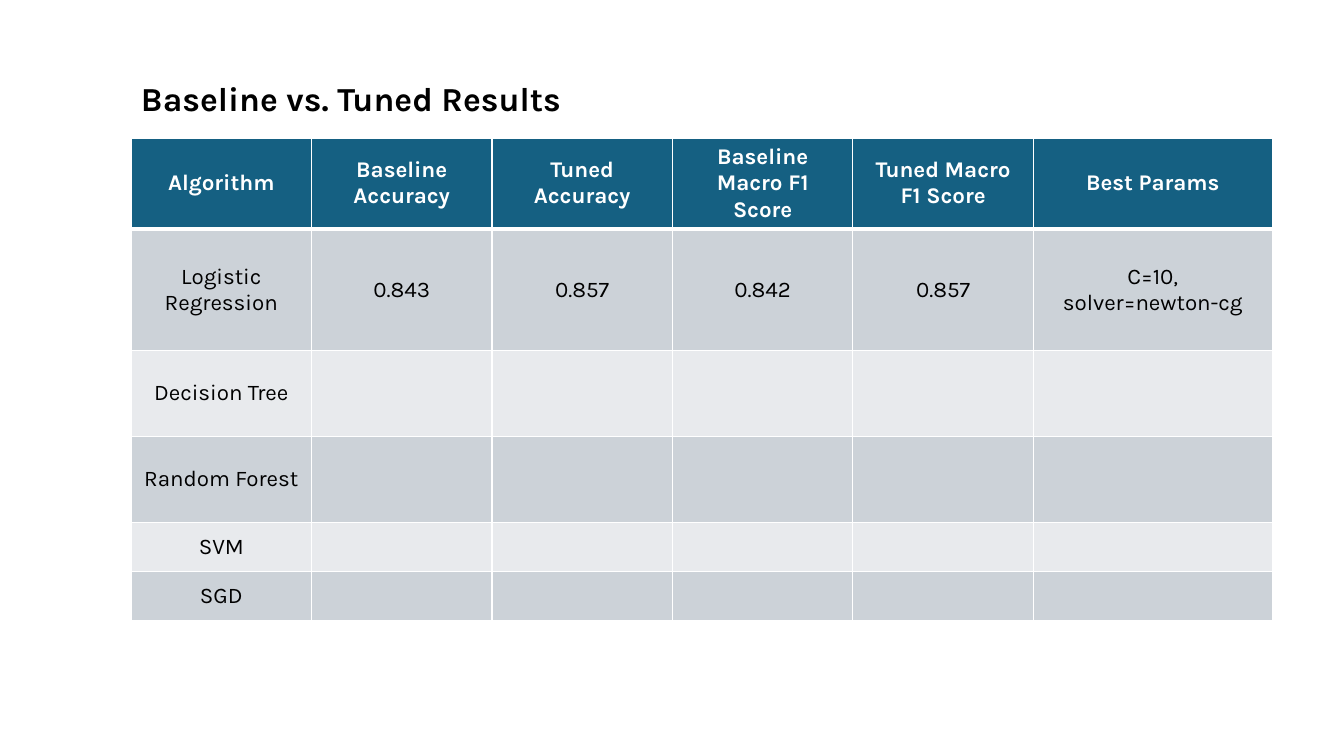
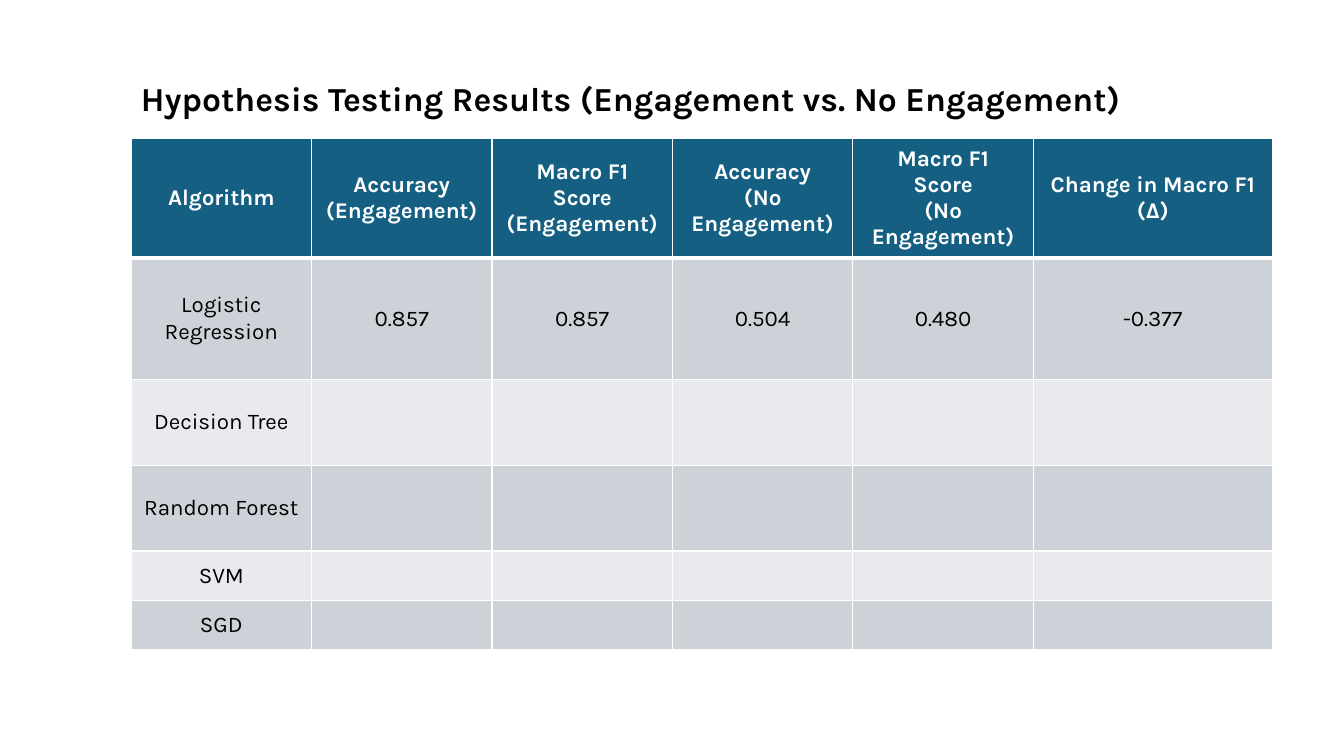
from pptx import Presentation
from pptx.dml.color import RGBColor
from pptx.enum import text as tx
from pptx.oxml import parse_xml
from pptx.oxml.ns import nsdecls
from pptx.util import Inches, Pt

# Shared style
FONT = "Karla"
BLUE = RGBColor(0x15, 0x60, 0x82)
GREY = RGBColor(0xCC, 0xD2, 0xD8)
PALE = RGBColor(0xE8, 0xEA, 0xED)
WHITE = RGBColor(0xFF, 0xFF, 0xFF)
BLACK = RGBColor(0, 0, 0)

# Shared layout, in inches
LEFT, WIDTH = 1.3, 11.32
TITLE_TOP, TITLE_HIGH = 0.72, 0.5
TABLE_TOP = 1.37
COLS = [1.79] * 5 + [2.37]
ROWS = [0.85, 1.21, 0.85, 0.85, 0.49, 0.49]
MODELS = ["Logistic Regression", "Decision Tree", "Random Forest", "SVM", "SGD"]


def set_font(para, size, color, bold):
    font = para.font
    font.name, font.size, font.bold = FONT, Pt(size), bold
    font.color.rgb = color


def add_title(slide, title, left, top, width, high):
    box = slide.shapes.add_textbox(
        Inches(left), Inches(top), Inches(width), Inches(high))
    frame = box.text_frame
    frame.word_wrap = True
    frame.auto_size = tx.MSO_AUTO_SIZE.SHAPE_TO_FIT_TEXT
    frame.text = title
    set_font(frame.paragraphs[0], 24, BLACK, True)


def add_edges(cell, top, bottom):
    """Draw white cell borders; the side ones are 1 pt."""
    props = cell._tc.get_or_add_tcPr()
    for side, width in zip("LRTB", (1, 1, top, bottom)):
        props.append(parse_xml(
            f'<a:ln{side} {nsdecls("a")} w="{Pt(width)}"><a:solidFill>'
            f'<a:srgbClr val="{WHITE}"/></a:solidFill></a:ln{side}>'))


def fill_cell(cell, words, row):
    head = row == 0
    add_edges(cell, 3 if row == 1 else 1, 3 if head else 1)
    cell.fill.solid()
    cell.fill.fore_color.rgb = BLUE if head else GREY if row % 2 else PALE
    cell.vertical_anchor = tx.MSO_ANCHOR.MIDDLE
    cell.margin_left = cell.margin_right = Inches(0.12)
    cell.margin_top = cell.margin_bottom = Inches(0.06)
    cell.text = words
    for para in cell.text_frame.paragraphs:
        para.alignment = tx.PP_ALIGN.CENTER
        set_font(para, 16, WHITE if head else BLACK, head)


def add_scores(slide, heads, scores, left, top):
    """Table of models; only the first model has scores so far."""
    table = slide.shapes.add_table(
        len(ROWS), len(COLS), Inches(left), Inches(top),
        Inches(sum(COLS)), Inches(sum(ROWS))).table
    for col, width in zip(table.columns, COLS):
        col.width = Inches(width)
    for row, high in zip(table.rows, ROWS):
        row.height = Inches(high)

    blank = [""] * len(scores)
    grid = [["Algorithm"] + heads]
    grid += [[name] + (blank if i else scores) for i, name in enumerate(MODELS)]
    for r, line in enumerate(grid):
        for c, words in enumerate(line):
            fill_cell(table.cell(r, c), words, r)


def add_page(deck, title, width, heads, scores):
    slide = deck.slides.add_slide(deck.slide_layouts[6])
    add_scores(slide, heads, scores, LEFT, TABLE_TOP)
    add_title(slide, title, LEFT, TITLE_TOP, width, TITLE_HIGH)


def main():
    deck = Presentation()
    deck.slide_width, deck.slide_height = Inches(13.33), Inches(7.5)

    # Tuning results
    add_page(
        deck, "Baseline vs. Tuned Results", 5.18,
        ["Baseline Accuracy", "Tuned Accuracy", "Baseline Macro F1 Score",
         "Tuned Macro F1 Score", "Best Params"],
        ["0.843", "0.857", "0.842", "0.857", "C=10,\nsolver=newton-cg"])

    # Hypothesis test; \v breaks a line within a paragraph
    add_page(
        deck, "Hypothesis Testing Results (Engagement vs. No Engagement)", WIDTH,
        ["Accuracy\v(Engagement)", "Macro F1 Score\n(Engagement)",
         "Accuracy\n(No Engagement)", "Macro F1 Score\n(No Engagement)",
         "Change in Macro F1 (Δ)"],
        ["0.857", "0.857", "0.504", "0.480", "-0.377"])

    deck.save("out.pptx")


if __name__ == "__main__":
    main()
